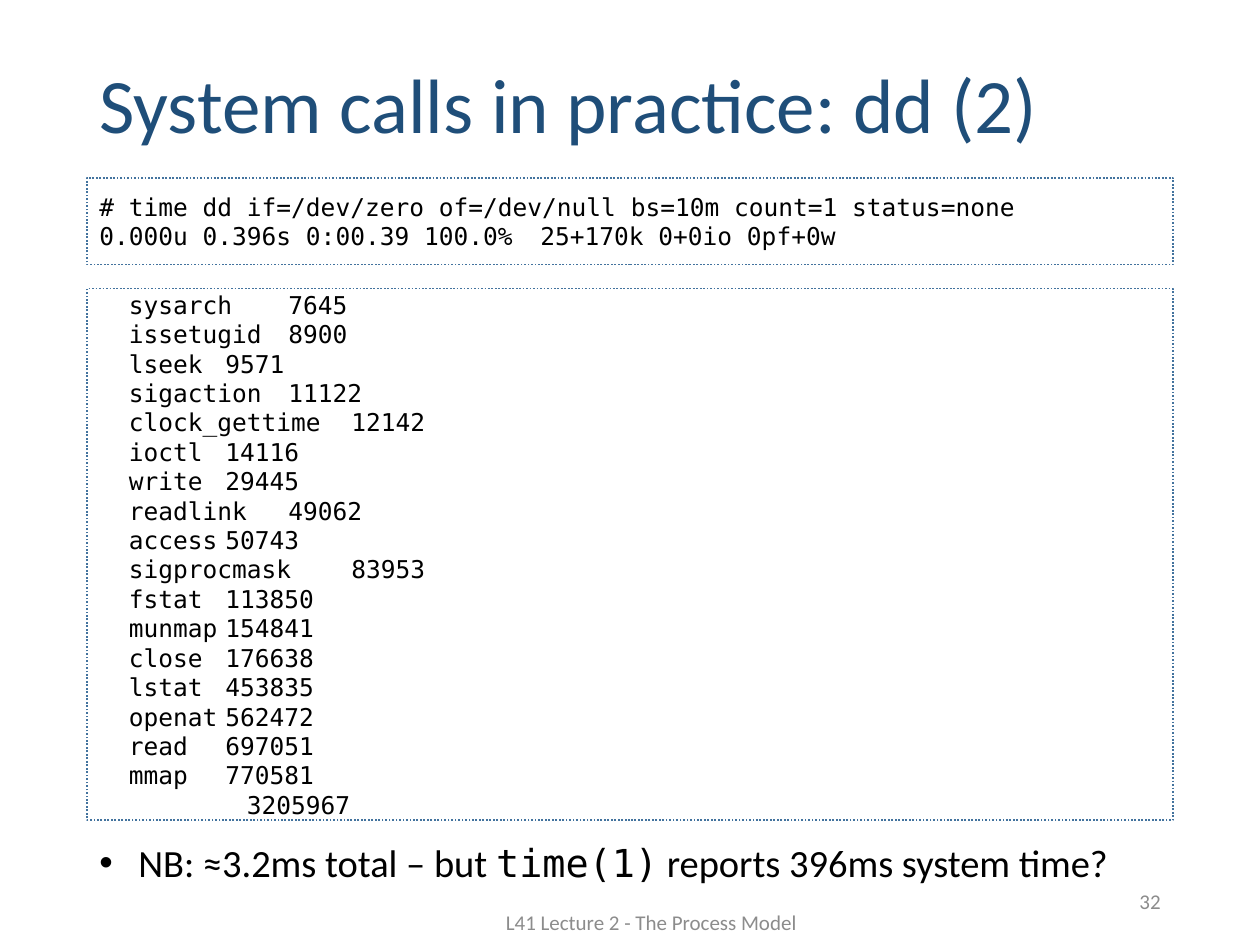
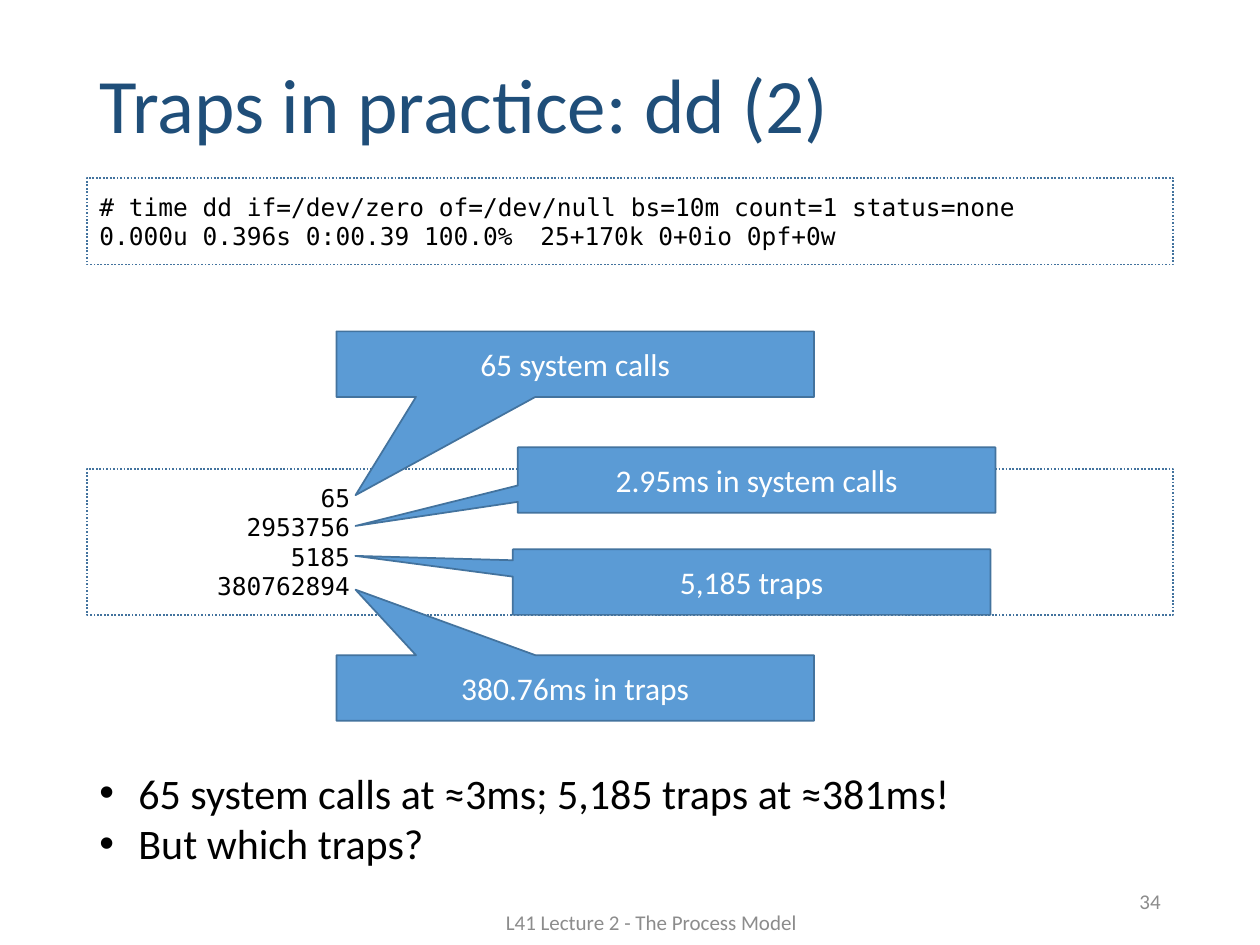
"""Builds two lecture slides on the system calls and traps made by dd."""
from dataclasses import dataclass

from lxml.etree import SubElement
from pptx import Presentation
from pptx.dml.color import RGBColor as Color
from pptx.enum.dml import MSO_LINE as Dash
from pptx.enum.shapes import MSO_SHAPE as Preset
from pptx.enum.text import MSO_ANCHOR as Anchor, PP_ALIGN as Align
from pptx.oxml.ns import qn
from pptx.util import Inches, Pt


@dataclass(frozen=True)
class Theme:
    sans: str = "Calibri"
    mono: str = "DejaVu Sans Mono"
    title: Color = Color(0x1F, 0x4E, 0x79)
    text: Color = Color(0x00, 0x00, 0x00)
    muted: Color = Color(0x8C, 0x8C, 0x8C)
    outline: Color = Color(0x43, 0x73, 0x9E)
    callout: Color = Color(0x5B, 0x9B, 0xD5)
    callout_text: Color = Color(0xFF, 0xFF, 0xFF)
    title_size: int = 44
    callout_size: int = 18
    code_size: int = 14
    footer_size: int = 12


theme = Theme()
LEFT, WIDTH = 0.69, 8.62
INSET = 0.1
CHARACTER = 0.117


def add_box(slide, box, text, font, size, color, align=Align.LEFT,
            anchor=Anchor.MIDDLE, preset=None, fill=None, dash=None):
    lengths = [Inches(value) for value in box]
    if preset is None:
        shape = slide.shapes.add_textbox(*lengths)
    else:
        shape = slide.shapes.add_shape(preset, *lengths)
        shape.shadow.inherit = False
        shape.line.color.rgb = theme.outline
        shape.line.width = Pt(1)
        if dash:
            shape.line.dash_style = dash
        if fill is None:
            shape.fill.background()
        else:
            shape.fill.solid()
            shape.fill.fore_color.rgb = fill
    frame = shape.text_frame
    frame.text = text
    frame.word_wrap = True
    frame.vertical_anchor = anchor
    for paragraph in frame.paragraphs:
        paragraph.alignment = align
        for run in paragraph.runs:
            run.font.name = font
            run.font.size = Pt(size)
            run.font.color.rgb = color
    return shape


def indent(paragraph, left=0, first=0, bullet=None, tab=None, tab_align="l"):
    properties = paragraph._p.get_or_add_pPr()
    properties.set("marL", str(Inches(left)))
    properties.set("indent", str(Inches(first)))
    if bullet:
        SubElement(properties, qn("a:buFont")).set("typeface", "Arial")
        SubElement(properties, qn("a:buChar")).set("char", bullet)
    if tab:
        stop = SubElement(SubElement(properties, qn("a:tabLst")), qn("a:tab"))
        stop.set("pos", str(Inches(tab)))
        stop.set("algn", tab_align)


presentation = Presentation()
presentation.slide_width = Inches(10)
presentation.slide_height = Inches(7.5)

code = dict(font=theme.mono, size=theme.code_size, color=theme.text,
            preset=Preset.RECTANGLE, dash=Dash.ROUND_DOT)
small = dict(font=theme.sans, size=theme.footer_size, color=theme.muted)
command = ("# time dd if=/dev/zero of=/dev/null bs=10m count=1 status=none\n"
           "0.000u 0.396s 0:00.39 100.0%\t25+170k 0+0io 0pf+0w")

pages = [
    ("System calls in practice: dd (2)", 32, 6.61, 0.47, 22,
     ["NB: ≈3.2ms total – but time(1) reports 396ms system time?"]),
    ("Traps in practice: dd (2)", 34, 6.04, 0.91, 24,
     ["65 system calls at ≈3ms; 5,185 traps at ≈381ms!",
      "But which traps?"]),
]
slides, remarks = [], []
for title, number, top, height, size, lines in pages:
    slide = presentation.slides.add_slide(presentation.slide_layouts[6])
    heading = add_box(slide, (LEFT, 0.25, WIDTH, 1.23), title,
                      theme.sans, theme.title_size, theme.title)
    heading.text_frame.paragraphs[0].line_spacing = 0.9
    console = add_box(slide, (LEFT, 1.41, WIDTH, 0.69), command, **code)
    indent(console.text_frame.paragraphs[1], tab=32 * CHARACTER)
    remark = add_box(slide, (LEFT, top, WIDTH, height), "\n".join(lines),
                     theme.sans, size, theme.text, anchor=Anchor.TOP)
    for paragraph in remark.text_frame.paragraphs:
        indent(paragraph, left=0.31, first=-0.31, bullet="•")
    add_box(slide, (7.06, 6.95, 2.25, 0.4), str(number), align=Align.RIGHT, **small)
    add_box(slide, (3.48, 7.12, 3.38, 0.4), "L41 Lecture 2 - The Process Model",
            align=Align.CENTER, **small)
    slides.append(slide)
    remarks.append(remark)

calls_slide, traps_slide = slides

note = remarks[0].text_frame.paragraphs[0]
before, command_name, after = note.text.partition("time(1)")
note.runs[0].text = before
for text, font in [(command_name, theme.mono), (after, theme.sans)]:
    run = note.add_run()
    run.text = text
    run.font.name = font
    run.font.size = Pt(22)
    run.font.color.rgb = theme.text

call_times = [
    ("sysarch", 7645), ("issetugid", 8900), ("lseek", 9571),
    ("sigaction", 11122), ("clock_gettime", 12142), ("ioctl", 14116),
    ("write", 29445), ("readlink", 49062), ("access", 50743),
    ("sigprocmask", 83953), ("fstat", 113850), ("munmap", 154841),
    ("close", 176638), ("lstat", 453835), ("openat", 562472),
    ("read", 697051), ("mmap", 770581),
]
rows = [f"{name}\t{time}" for name, time in call_times] + ["3205967"]
listing = add_box(calls_slide, (LEFT, 2.29, WIDTH, 4.22), "\n".join(rows), **code)
*call_rows, total_row = listing.text_frame.paragraphs
for paragraph in call_rows:
    indent(paragraph, first=2 * CHARACTER, tab=69 * CHARACTER, tab_align="r")
indent(total_row, first=10 * CHARACTER)

counters = add_box(traps_slide, (LEFT, 3.72, WIDTH, 1.16),
                   "65\n2953756\n5185\n380762894", align=Align.RIGHT, **code)
counters.text_frame.margin_right = Inches(WIDTH - INSET - 17 * CHARACTER)

callouts = [
    ("65 system calls", 2.67, 2.63, -0.46, 2.0),
    ("2.95ms in system calls", 4.11, 3.55, -0.84, 0.7),
    ("5,185 traps", 4.07, 4.36, -0.83, -0.4),
    ("380.76ms in traps", 2.67, 5.2, -0.46, -1.5),
]
for label, left, top, tip_x, tip_y in callouts:
    callout = add_box(traps_slide, (left, top, 3.79, 0.52), label, theme.sans,
                      theme.callout_size, theme.callout_text, align=Align.CENTER,
                      preset=Preset.RECTANGULAR_CALLOUT, fill=theme.callout)
    callout.adjustments[0] = tip_x
    callout.adjustments[1] = tip_y

presentation.save("out.pptx")
